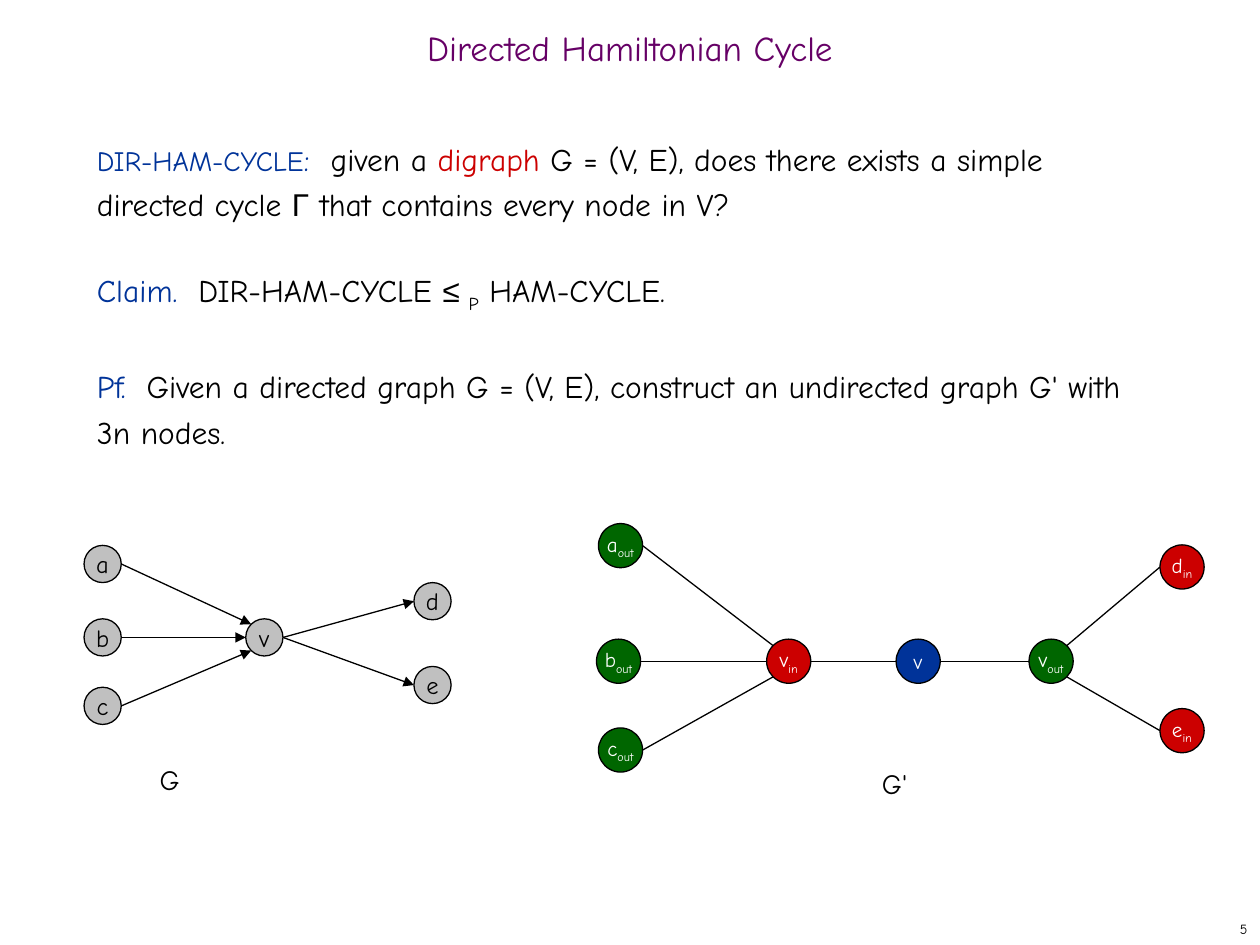
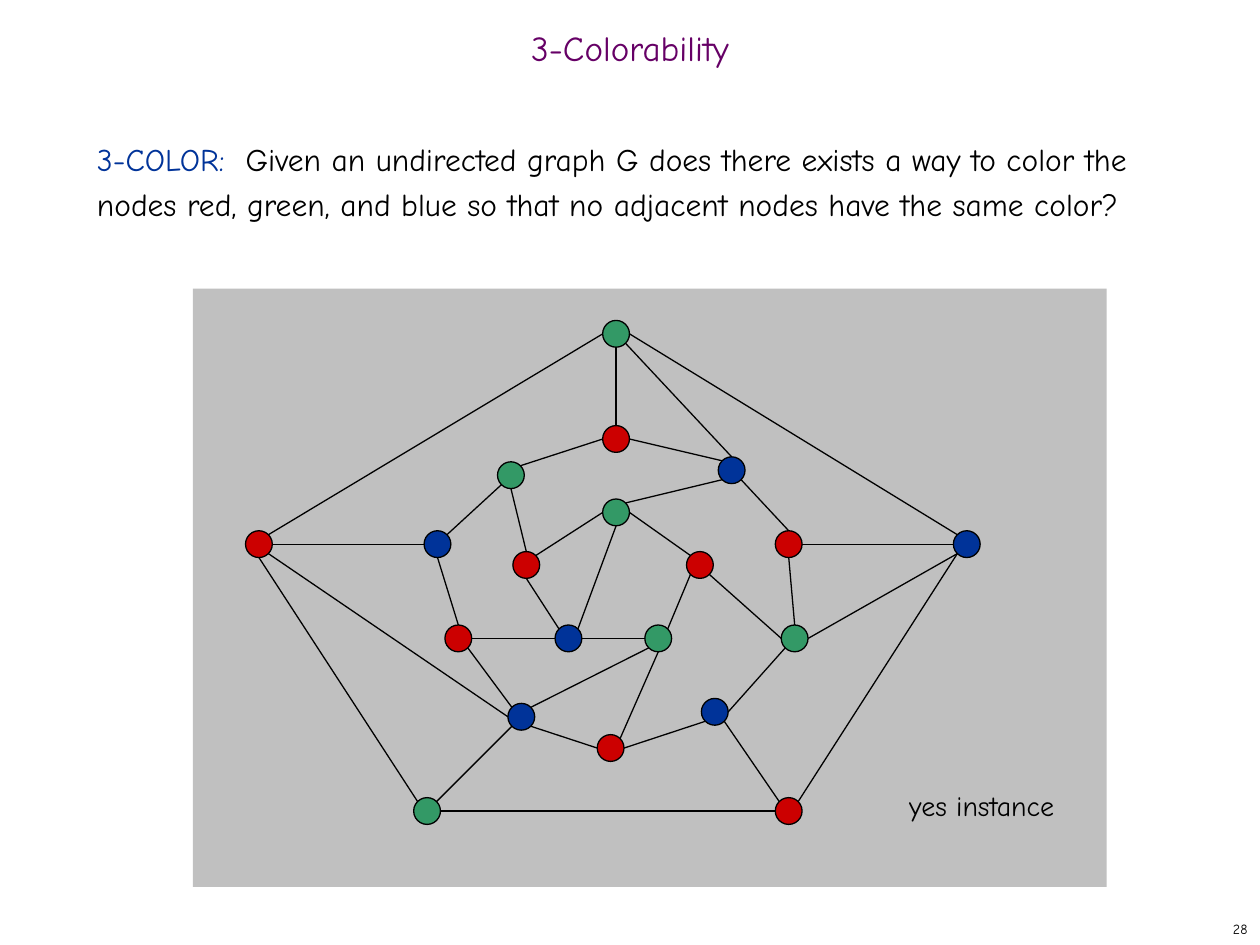
import math
from dataclasses import dataclass
from typing import Any

import pptx
import pptx.dml.color
import pptx.enum.shapes
import pptx.enum.text
import pptx.oxml.ns
import pptx.oxml.xmlchemy
import pptx.util
from pptx.util import Cm

COLORS = {
    "black": "000000",
    "white": "FFFFFF",
    "purple": "660066",
    "blue": "003399",
    "red": "CC0000",
    "dark green": "006600",
    "green": "339966",
    "gray": "C0C0C0",
}
FONT = "Comic Neue"
SYMBOL_FONT = "Arial"
LINE_WIDTH = 0.75
BODY_LINE = 26
COMPASS = ("E", "SE", "S", "SW", "W", "NW", "N", "NE")


@dataclass(frozen=True)
class Piece:
    """A stretch of text in one format."""

    text: str
    color: str = "black"
    size: float = 18
    font: str = FONT
    subscript: bool = False


@dataclass(frozen=True)
class Node:
    """A graph node, placed by its centre in centimetres."""

    x: float
    y: float
    color: str
    label: tuple[Piece, ...] = ()


@dataclass(frozen=True)
class Graph:
    """Nodes by name; each edge reads 'start site end site', sites being compass points."""

    diameter: float
    nodes: dict[str, Node]
    edges: tuple[str, ...]
    directed: bool = False


def rgb(color: str) -> pptx.dml.color.RGBColor:
    return pptx.dml.color.RGBColor.from_string(COLORS[color])


def write_pieces(paragraph: Any, pieces: tuple[Piece, ...]) -> None:
    for piece in pieces:
        run = paragraph.add_run()
        run.text = piece.text
        run.font.name = piece.font
        run.font.size = pptx.util.Pt(piece.size)
        run.font.color.rgb = rgb(piece.color)
        if piece.subscript:
            run._r.get_or_add_rPr().set("baseline", "-25000")


def place(shape: Any, left: float, top: float, width: float, height: float) -> None:
    shape.left, shape.top = Cm(left), Cm(top)
    shape.width, shape.height = Cm(width), Cm(height)


def remove_bullet(paragraph: Any) -> None:
    properties = paragraph._p.get_or_add_pPr()
    properties.set("marL", "0")
    properties.set("indent", "0")
    properties.append(pptx.oxml.xmlchemy.OxmlElement("a:buNone"))


def add_base_slide(
    presentation: Any, title: str, number: int, body: tuple[tuple[Piece, ...], ...]
) -> Any:
    """Add a slide with its title, body paragraphs and page number."""
    slide = presentation.slides.add_slide(presentation.slide_layouts[1])
    title_shape, body_shape = slide.shapes.title, slide.placeholders[1]
    place(title_shape, 0, 0.43, 25.4, 1.27)
    place(body_shape, 1.7, 2.54, 21.79, 15.04)
    for shape, anchor in (
        (title_shape, pptx.enum.text.MSO_ANCHOR.MIDDLE),
        (body_shape, pptx.enum.text.MSO_ANCHOR.TOP),
    ):
        shape.text_frame.auto_size = pptx.enum.text.MSO_AUTO_SIZE.NONE
        shape.text_frame.vertical_anchor = anchor

    heading = title_shape.text_frame.paragraphs[0]
    heading.alignment = pptx.enum.text.PP_ALIGN.CENTER
    heading.line_spacing = 0.7
    write_pieces(heading, (Piece(title, "purple", 20),))

    for index, pieces in enumerate(body):
        frame = body_shape.text_frame
        paragraph = frame.add_paragraph() if index else frame.paragraphs[0]
        paragraph.line_spacing = pptx.util.Pt(BODY_LINE)
        paragraph.space_before = pptx.util.Pt(BODY_LINE if index else 0)
        remove_bullet(paragraph)
        write_pieces(paragraph, pieces)

    number_box = slide.shapes.add_textbox(Cm(20.12), Cm(18.42), Cm(5.28), Cm(0.63))
    number_box.text_frame.word_wrap = False
    number_box.text_frame.vertical_anchor = pptx.enum.text.MSO_ANCHOR.MIDDLE
    paragraph = number_box.text_frame.paragraphs[0]
    paragraph.alignment = pptx.enum.text.PP_ALIGN.RIGHT
    write_pieces(paragraph, (Piece(str(number), size=8),))
    return slide


def add_caption(slide: Any, text: str, left: float, top: float, width: float) -> None:
    box = slide.shapes.add_textbox(Cm(left), Cm(top), Cm(width), Cm(0.94))
    box.text_frame.word_wrap = True
    box.text_frame.auto_size = pptx.enum.text.MSO_AUTO_SIZE.SHAPE_TO_FIT_TEXT
    paragraph = box.text_frame.paragraphs[0]
    paragraph.space_before = pptx.util.Pt(10)
    write_pieces(paragraph, (Piece(text, size=16),))


def rim_point(node: Node, site: str, diameter: float) -> tuple[Any, Any]:
    """Find the point on a node's outline that faces a compass direction."""
    angle = COMPASS.index(site) * math.pi / 4
    radius = diameter / 2
    return Cm(node.x + radius * math.cos(angle)), Cm(node.y + radius * math.sin(angle))


def add_edge(slide: Any, graph: Graph, edge: str) -> None:
    start, start_site, end, end_site = edge.split()
    connector = slide.shapes.add_connector(
        pptx.enum.shapes.MSO_CONNECTOR.STRAIGHT,
        *rim_point(graph.nodes[start], start_site, graph.diameter),
        *rim_point(graph.nodes[end], end_site, graph.diameter),
    )
    connector.line.color.rgb = rgb("black")
    connector.line.width = pptx.util.Pt(LINE_WIDTH)
    properties = connector._element.spPr
    if graph.directed:
        arrowhead = pptx.oxml.xmlchemy.OxmlElement("a:tailEnd")
        arrowhead.set("type", "triangle")
        properties.find(pptx.oxml.ns.qn("a:ln")).append(arrowhead)
    properties.append(pptx.oxml.xmlchemy.OxmlElement("a:effectLst"))


def add_node(slide: Any, node: Node, diameter: float) -> None:
    circle = slide.shapes.add_shape(
        pptx.enum.shapes.MSO_SHAPE.OVAL,
        Cm(node.x - diameter / 2), Cm(node.y - diameter / 2), Cm(diameter), Cm(diameter),
    )
    circle.shadow.inherit = False
    circle.fill.solid()
    circle.fill.fore_color.rgb = rgb(node.color)
    circle.line.color.rgb = rgb("black")
    circle.line.width = pptx.util.Pt(LINE_WIDTH)
    if node.label:
        frame = circle.text_frame
        frame.word_wrap = False
        frame.vertical_anchor = pptx.enum.text.MSO_ANCHOR.MIDDLE
        frame.paragraphs[0].alignment = pptx.enum.text.PP_ALIGN.CENTER
        write_pieces(frame.paragraphs[0], node.label)


def draw_graph(slide: Any, graph: Graph) -> None:
    for edge in graph.edges:
        add_edge(slide, graph, edge)
    for node in graph.nodes.values():
        add_node(slide, node, graph.diameter)


def digraph_node(name: str, x: float, y: float) -> Node:
    return Node(x, y, "gray", (Piece(name, size=14),))


def split_node(name: str, part: str, x: float, y: float) -> Node:
    """Make an 'in', 'out' or middle ('') node of the undirected graph."""
    color = {"in": "red", "out": "dark green", "": "blue"}[part]
    label = (Piece(name, "white", 12),)
    if part:
        label += (Piece(part, "white", 12, subscript=True),)
    return Node(x, y, color, label)


DIGRAPH = Graph(
    0.75,
    {
        name: digraph_node(name, x, y)
        for name, x, y in (
            ("v", 5.33, 12.85), ("a", 2.07, 11.37), ("b", 2.07, 12.85),
            ("c", 2.07, 14.23), ("d", 8.72, 12.12), ("e", 8.72, 13.81),
        )
    },
    ("a E v NW", "b E v W", "c E v SW", "v E d W", "v E e W"),
    directed=True,
)

UNDIRECTED_GRAPH = Graph(
    0.89,
    {
        name + part: split_node(name, part, x, y)
        for name, part, x, y in (
            ("a", "out", 12.51, 11), ("b", "out", 12.47, 13.33), ("c", "out", 12.51, 15.12),
            ("v", "in", 15.9, 13.33), ("v", "", 18.51, 13.33), ("v", "out", 21.19, 13.33),
            ("d", "in", 23.83, 11.43), ("e", "in", 23.83, 14.73),
        )
    },
    (
        "aout E vin NW", "bout E vin W", "cout E vin SW", "vin E v W",
        "v E vout W", "vout NE din W", "vout SE ein W",
    ),
)

# Rings are listed clockwise from the top: outer o0-o4, middle m0-m9, inner i0-i4.
COLORED_GRAPH = Graph(
    0.54,
    {
        "o0": Node(12.42, 6.73, "green"),
        "o1": Node(19.49, 10.97, "blue"),
        "o2": Node(15.9, 16.35, "red"),
        "o3": Node(8.61, 16.35, "green"),
        "o4": Node(5.22, 10.97, "red"),
        "m0": Node(12.42, 8.85, "red"),
        "m1": Node(14.75, 9.48, "blue"),
        "m2": Node(15.9, 10.97, "red"),
        "m3": Node(16.02, 12.87, "green"),
        "m4": Node(14.41, 14.35, "blue"),
        "m5": Node(12.31, 15.08, "red"),
        "m6": Node(10.51, 14.45, "blue"),
        "m7": Node(9.24, 12.87, "red"),
        "m8": Node(8.82, 10.97, "blue"),
        "m9": Node(10.3, 9.58, "green"),
        "i0": Node(12.42, 10.33, "green"),
        "i1": Node(14.11, 11.39, "red"),
        "i2": Node(13.27, 12.87, "green"),
        "i3": Node(11.46, 12.87, "blue"),
        "i4": Node(10.61, 11.39, "red"),
    },
    (
        "o0 E o1 NW", "o2 NE o1 SW", "o3 E o2 W", "o3 NW o4 S", "o4 NE o0 W",
        "m0 E m1 NW", "m2 N m1 SE", "m3 N m2 S", "m3 SW m4 E", "m5 E m4 SW",
        "m6 SE m5 W", "m7 SE m6 NW", "m8 S m7 N", "m9 SW m8 NE", "m0 W m9 NE",
        "i0 E i1 NW", "i2 NE i1 SW", "i3 E i2 W", "i3 NW i4 S", "i4 NE i0 W",
        "i3 NE i0 S", "m0 N o0 S", "m1 N o0 SE", "m2 E o1 W", "m3 E o1 SW",
        "o2 NW m4 SE", "m6 SW o3 NE", "m6 W o4 SE", "m8 W o4 E", "m1 SW i0 NE",
        "m3 W i1 SE", "i2 S m5 NE", "m6 NE i2 SW", "i3 W m7 E", "i4 N m9 S",
    ),
)


def build_hamiltonian_slide(presentation: Any) -> None:
    problem = (
        Piece("DIR-HAM-CYCLE", "blue", 16),
        Piece(":  ", "blue"),
        Piece("given a "),
        Piece("digraph", "red"),
        Piece(" G = (V, E), does there exists a simple directed cycle "),
        Piece("Γ", font=SYMBOL_FONT),
        Piece(" that contains every node in V?"),
    )
    claim = (
        Piece("Claim.  ", "blue"),
        Piece("DIR-HAM-CYCLE "),
        Piece("≤ ", font=SYMBOL_FONT),
        Piece("P", subscript=True),
        Piece(" HAM-CYCLE."),
    )
    proof = (
        Piece("Pf.  ", "blue"),
        Piece("Given a directed graph G = (V, E), construct an undirected graph G' with 3n nodes."),
    )
    slide = add_base_slide(
        presentation, "Directed Hamiltonian Cycle", 5, (problem, claim, proof)
    )
    draw_graph(slide, DIGRAPH)
    draw_graph(slide, UNDIRECTED_GRAPH)
    add_caption(slide, "G", 2.97, 15.24, 2.54)
    add_caption(slide, "G'", 17.53, 15.32, 2.54)


def build_colorability_slide(presentation: Any) -> None:
    problem = (
        Piece("3-COLOR:  ", "blue"),
        Piece(
            "Given an undirected graph G does there exists a way to color the nodes "
            "red, green, and blue so that no adjacent nodes have the same color?"
        ),
    )
    slide = add_base_slide(presentation, "3-Colorability", 28, (problem,))
    panel = slide.shapes.add_shape(
        pptx.enum.shapes.MSO_SHAPE.RECTANGLE, Cm(3.89), Cm(5.82), Cm(18.42), Cm(12.06)
    )
    panel.shadow.inherit = False
    panel.fill.solid()
    panel.fill.fore_color.rgb = rgb("gray")
    panel.line.fill.background()
    draw_graph(slide, COLORED_GRAPH)
    add_caption(slide, "yes instance", 18.08, 15.77, 3.81)


def main() -> None:
    presentation = pptx.Presentation()
    presentation.slide_width, presentation.slide_height = Cm(25.4), Cm(19.05)
    build_hamiltonian_slide(presentation)
    build_colorability_slide(presentation)
    presentation.save("out.pptx")


if __name__ == "__main__":
    main()
